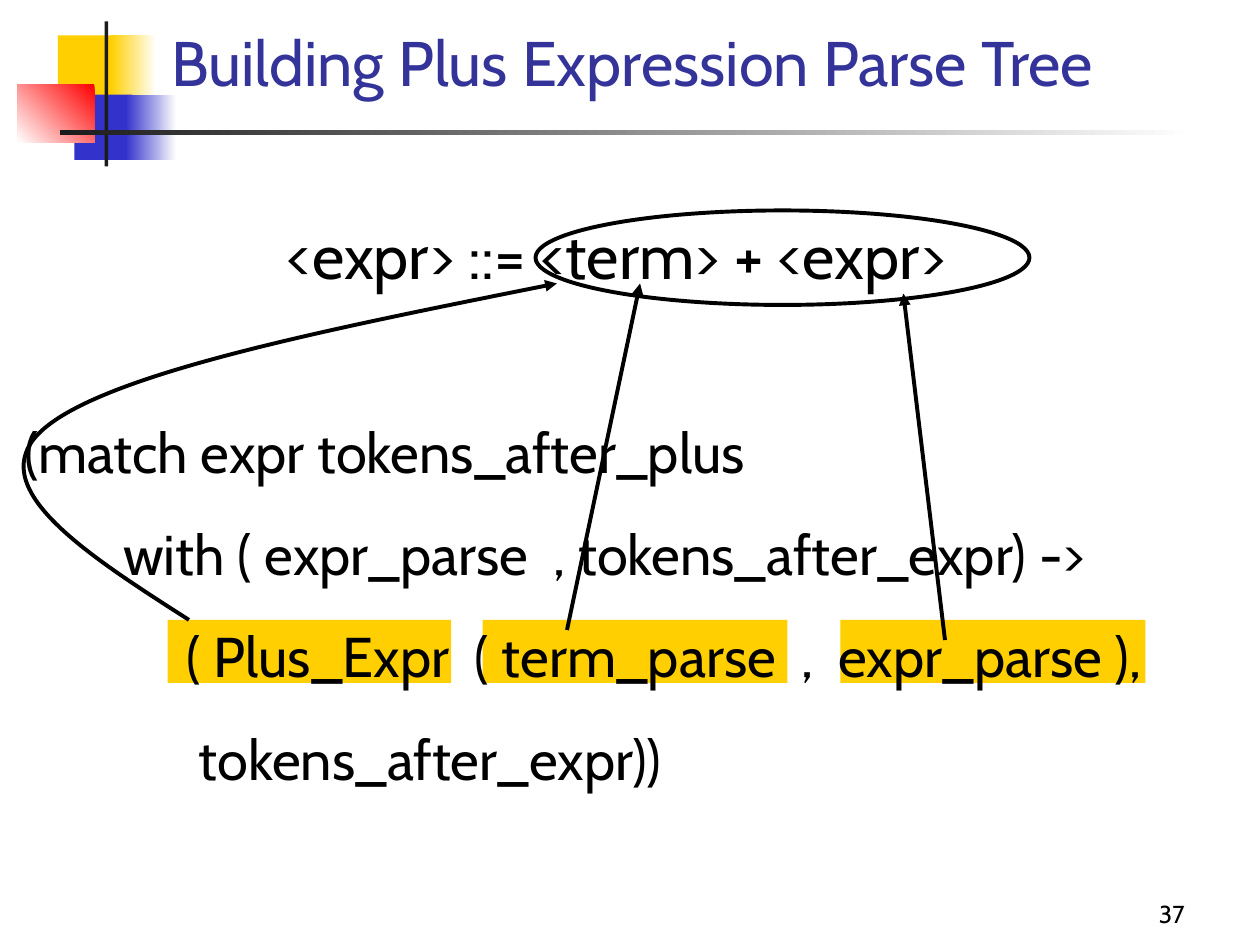
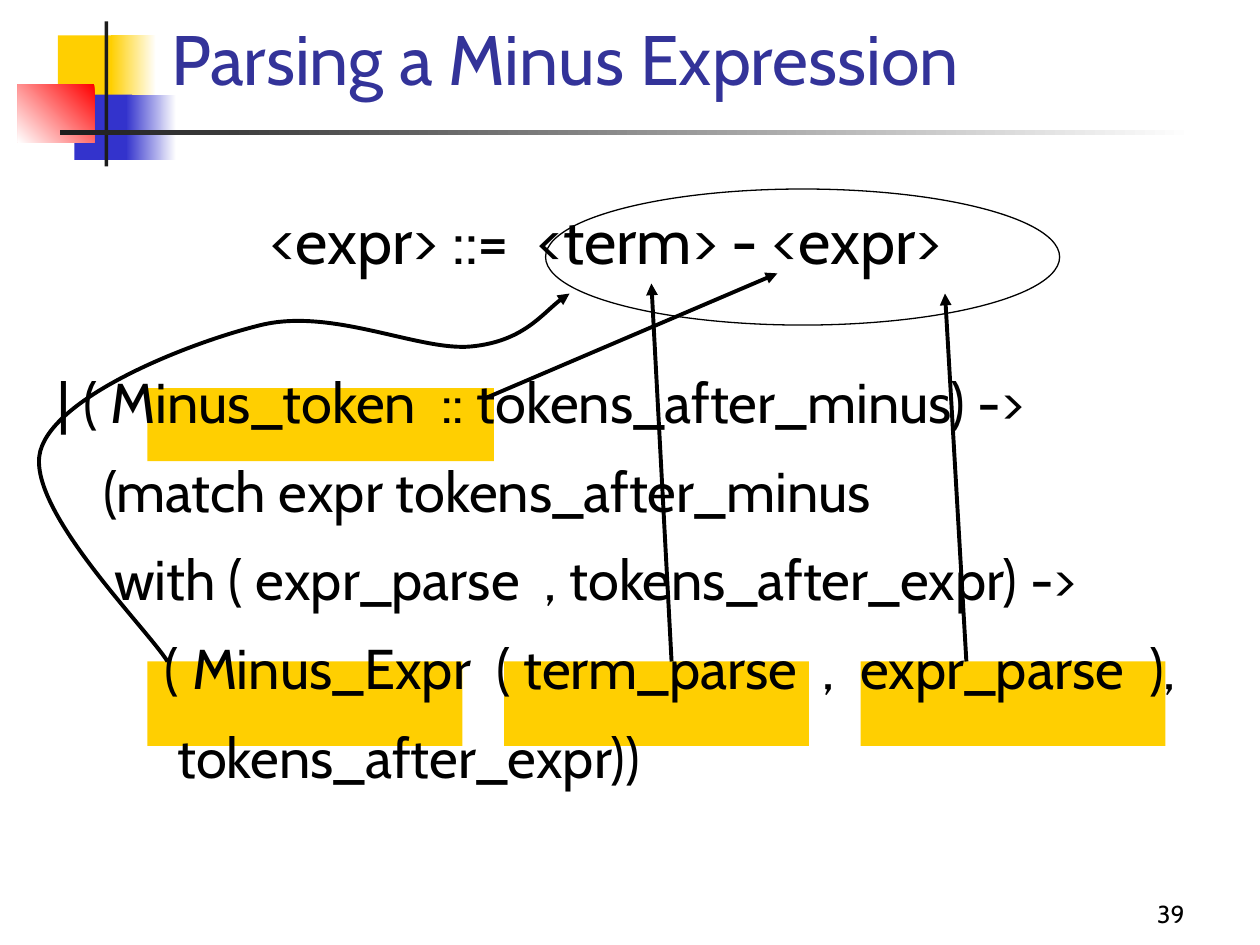
from dataclasses import dataclass
from typing import Any, NamedTuple

from lxml.etree import SubElement
from pptx import Presentation
from pptx.dml.color import RGBColor
from pptx.enum.shapes import MSO_CONNECTOR, MSO_SHAPE
from pptx.enum.text import MSO_ANCHOR, PP_ALIGN
from pptx.oxml.ns import qn
from pptx.slide import Slide
from pptx.util import Inches, Length, Pt


@dataclass(frozen=True)
class Theme:
    font: str = "Cabin"
    white: str = "FFFFFF"
    ink: str = "000000"
    bar: str = "1C1C1C"
    title: str = "333399"
    yellow: str = "FFCF01"
    blue: str = "3333CC"
    red: str = "FF0000"
    rule_size: float = 36
    code_size: float = 32
    number_size: float = 14
    arrow_width: float = 2.25


THEME = Theme()
Point = tuple[float, float]


class Box(NamedTuple):
    left: float
    top: float
    width: float
    height: float

    def emu(self) -> list[Length]:
        return [Inches(side) for side in self]


class Block(NamedTuple):
    """A filled rectangle; with a second colour it fades at a clockwise angle."""
    box: Box
    color: str
    fade_to: str | None = None
    angle: float = 180


class Line(NamedTuple):
    text: str
    size: float
    color: str = THEME.ink
    align: PP_ALIGN = PP_ALIGN.LEFT
    before: float = 0
    spacing: float = 1
    indent: float = 0
    right: float = 0


class CodeLine(NamedTuple):
    indent: float
    text: str


class Arrow(NamedTuple):
    start: Point
    end: Point


class Oval(NamedTuple):
    box: Box
    width: float


@dataclass(frozen=True)
class ParseSlide:
    title: str
    title_size: float
    number: str
    body: Box
    rule: str
    code: list[CodeLine]
    code_gap: float
    spacing: float
    highlights: list[Box]
    oval: Oval
    arrows: list[Arrow]
    curve: list[Point]


DECORATION = [
    Block(Box(0.46, 0.28, 0.48, 0.52), THEME.yellow),
    Block(Box(0.88, 0.28, 0.36, 0.52), THEME.white, THEME.yellow),
    Block(Box(0.59, 0.75, 0.46, 0.52), THEME.blue),
    Block(Box(1, 0.75, 0.4, 0.52), THEME.white, THEME.blue),
    Block(Box(0.14, 0.67, 0.61, 0.46), THEME.red, THEME.white, 135),
    Block(Box(0.83, 0.17, 0.03, 1.15), THEME.bar),
    Block(Box(0.48, 1.03, 9, 0.04), THEME.white, THEME.bar),
]
TITLE_BOX = Box(1.26, 0.18, 8.52, 0.66)
NUMBER_BOX = Box(7.42, 6.92, 2.08, 0.5)
RULE_SHIFT = 0.22

SLIDES = [
    ParseSlide(
        title="Building Plus Expression Parse Tree",
        title_size=36,
        number="37",
        body=Box(0, 1.67, 10, 5.08),
        rule="<expr> ::= <term> + <expr>",
        code=[
            CodeLine(0.1, "(match expr tokens_after_plus"),
            CodeLine(0.88, "with ( expr_parse  , tokens_after_expr) ->"),
            CodeLine(1.38, "( Plus_Expr  ( term_parse  ,  expr_parse ),"),
            CodeLine(1.48, "tokens_after_expr))"),
        ],
        code_gap=71.5,
        spacing=1,
        highlights=[
            Box(1.33, 4.92, 2.25, 0.5),
            Box(3.83, 4.92, 2.42, 0.5),
            Box(6.67, 4.92, 2.42, 0.5),
        ],
        oval=Oval(Box(4.25, 1.67, 3.92, 0.75), 2.25),
        arrows=[
            Arrow((4.5, 5), (5.08, 2.25)),
            Arrow((7.5, 5.08), (7.17, 2.33)),
        ],
        curve=[(1.5, 4.92),
               (0.67, 4.39), (-0.15, 3.86), (0.33, 3.42),
               (0.82, 2.97), (2.62, 2.61), (4.42, 2.25)],
    ),
    ParseSlide(
        title="Parsing a Minus Expression",
        title_size=40,
        number="39",
        body=Box(-0.17, 1.67, 10.17, 5.08),
        rule="<expr> ::=  <term> - <expr>",
        code=[
            CodeLine(0.53, "| ( Minus_token  :: tokens_after_minus) ->"),
            CodeLine(0.89, "(match expr tokens_after_minus"),
            CodeLine(0.98, "with ( expr_parse  , tokens_after_expr) ->"),
            CodeLine(1.38, "( Minus_Expr  ( term_parse  ,  expr_parse  ),"),
            CodeLine(1.48, "tokens_after_expr))"),
        ],
        code_gap=59,
        spacing=0.8,
        highlights=[
            Box(1.17, 3.08, 2.75, 0.58),
            Box(1.17, 5.25, 2.5, 0.67),
            Box(4, 5.25, 2.42, 0.67),
            Box(6.83, 5.25, 2.42, 0.67),
        ],
        oval=Oval(Box(4.33, 1.5, 4.08, 1.08), 0.75),
        arrows=[
            Arrow((3.83, 3.17), (6.17, 2.17)),
            Arrow((5.33, 5.25), (5.17, 2.25)),
            Arrow((7.67, 5.25), (7.5, 2.33)),
        ],
        curve=[(1.33, 5.25),
               (1.16, 4.98), (0.2, 4.03), (0.32, 3.58),
               (0.44, 3.14), (1.5, 2.72), (2.07, 2.58),
               (2.64, 2.44), (3.33, 2.79), (3.74, 2.75),
               (4.15, 2.71), (4.36, 2.42), (4.52, 2.33)],
    ),
]


def apply_format(target: Any, values: dict[str, Any]) -> None:
    for name, value in values.items():
        setattr(target, name, value)


def draw_block(slide: Slide, block: Block) -> None:
    rect = slide.shapes.add_shape(MSO_SHAPE.RECTANGLE, *block.box.emu())
    rect.shadow.inherit = False
    rect.line.fill.background()
    if block.fade_to is None:
        rect.fill.solid()
        rect.fill.fore_color.rgb = RGBColor.from_string(block.color)
        return
    rect.fill.gradient()
    rect.fill.gradient_angle = 360 - block.angle
    for stop, color in zip(rect.fill.gradient_stops, (block.color, block.fade_to)):
        stop.color.rgb = RGBColor.from_string(color)


def draw_text(slide: Slide, box: Box, lines: list[Line],
              anchor: MSO_ANCHOR = MSO_ANCHOR.BOTTOM) -> None:
    frame = slide.shapes.add_textbox(*box.emu()).text_frame
    apply_format(frame, {"word_wrap": True, "vertical_anchor": anchor})
    for index, line in enumerate(lines):
        paragraph = frame.add_paragraph() if index else frame.paragraphs[0]
        apply_format(paragraph, {
            "alignment": line.align,
            "space_before": Pt(line.before),
            "line_spacing": line.spacing,
        })
        margins = paragraph._p.get_or_add_pPr()
        margins.set("marL", str(Inches(line.indent)))
        margins.set("marR", str(Inches(line.right)))
        run = paragraph.add_run()
        run.text = line.text
        apply_format(run.font, {"name": THEME.font, "size": Pt(line.size)})
        run.font.color.rgb = RGBColor.from_string(line.color)


def ink_line(shape: Any, width: float) -> None:
    shape.line.color.rgb = RGBColor.from_string(THEME.ink)
    shape.line.width = Pt(width)


def add_arrowhead(shape: Any) -> None:
    outline = shape._element.spPr.find(qn("a:ln"))
    SubElement(outline, qn("a:tailEnd"), type="triangle")


def draw_oval(slide: Slide, oval: Oval) -> None:
    ellipse = slide.shapes.add_shape(MSO_SHAPE.OVAL, *oval.box.emu())
    ellipse.shadow.inherit = False
    ellipse.fill.background()
    ink_line(ellipse, oval.width)


def draw_arrow(slide: Slide, arrow: Arrow) -> None:
    ends = [Inches(value) for value in (*arrow.start, *arrow.end)]
    connector = slide.shapes.add_connector(MSO_CONNECTOR.STRAIGHT, *ends)
    ink_line(connector, THEME.arrow_width)
    add_arrowhead(connector)
    SubElement(connector._element.spPr, qn("a:effectLst"))


def draw_curve(slide: Slide, points: list[Point]) -> None:
    """Draw a Bezier arrow: a start, then two controls and an end per piece."""
    start, *rest = [(Inches(x), Inches(y)) for x, y in points]
    builder = slide.shapes.build_freeform(*start)
    builder.add_line_segments(rest, close=False)
    curve = builder.convert_to_shape()
    steps = list(curve._element.iter(qn("a:lnTo")))
    outline = steps[0].getparent()
    for first in range(0, len(steps), 3):
        piece = SubElement(outline, qn("a:cubicBezTo"))
        for step in steps[first:first + 3]:
            piece.append(step[0])
            outline.remove(step)
    curve.shadow.inherit = False
    curve.fill.background()
    ink_line(curve, THEME.arrow_width)
    add_arrowhead(curve)


def body_lines(content: ParseSlide) -> list[Line]:
    rule = Line(content.rule, THEME.rule_size, align=PP_ALIGN.CENTER, before=9,
                spacing=content.spacing, right=RULE_SHIFT)
    code = [
        Line(line.text, THEME.code_size, before=20 if index else content.code_gap,
             spacing=content.spacing, indent=line.indent)
        for index, line in enumerate(content.code)
    ]
    return [rule, *code]


def draw_slide(slide: Slide, content: ParseSlide) -> None:
    highlights = [Block(box, THEME.yellow) for box in content.highlights]
    for block in DECORATION + highlights:
        draw_block(slide, block)
    draw_text(slide, NUMBER_BOX, [
        Line(content.number, THEME.number_size, align=PP_ALIGN.RIGHT)])
    draw_text(slide, TITLE_BOX, [
        Line(content.title, content.title_size, THEME.title,
             before=content.title_size * 0.625)])
    draw_oval(slide, content.oval)
    draw_curve(slide, content.curve)
    for arrow in content.arrows:
        draw_arrow(slide, arrow)
    draw_text(slide, content.body, body_lines(content), MSO_ANCHOR.TOP)


def main() -> None:
    deck = Presentation()
    apply_format(deck, {"slide_width": Inches(10), "slide_height": Inches(7.5)})
    blank = deck.slide_layouts[6]
    for content in SLIDES:
        draw_slide(deck.slides.add_slide(blank), content)
    deck.save("out.pptx")


if __name__ == "__main__":
    main()
